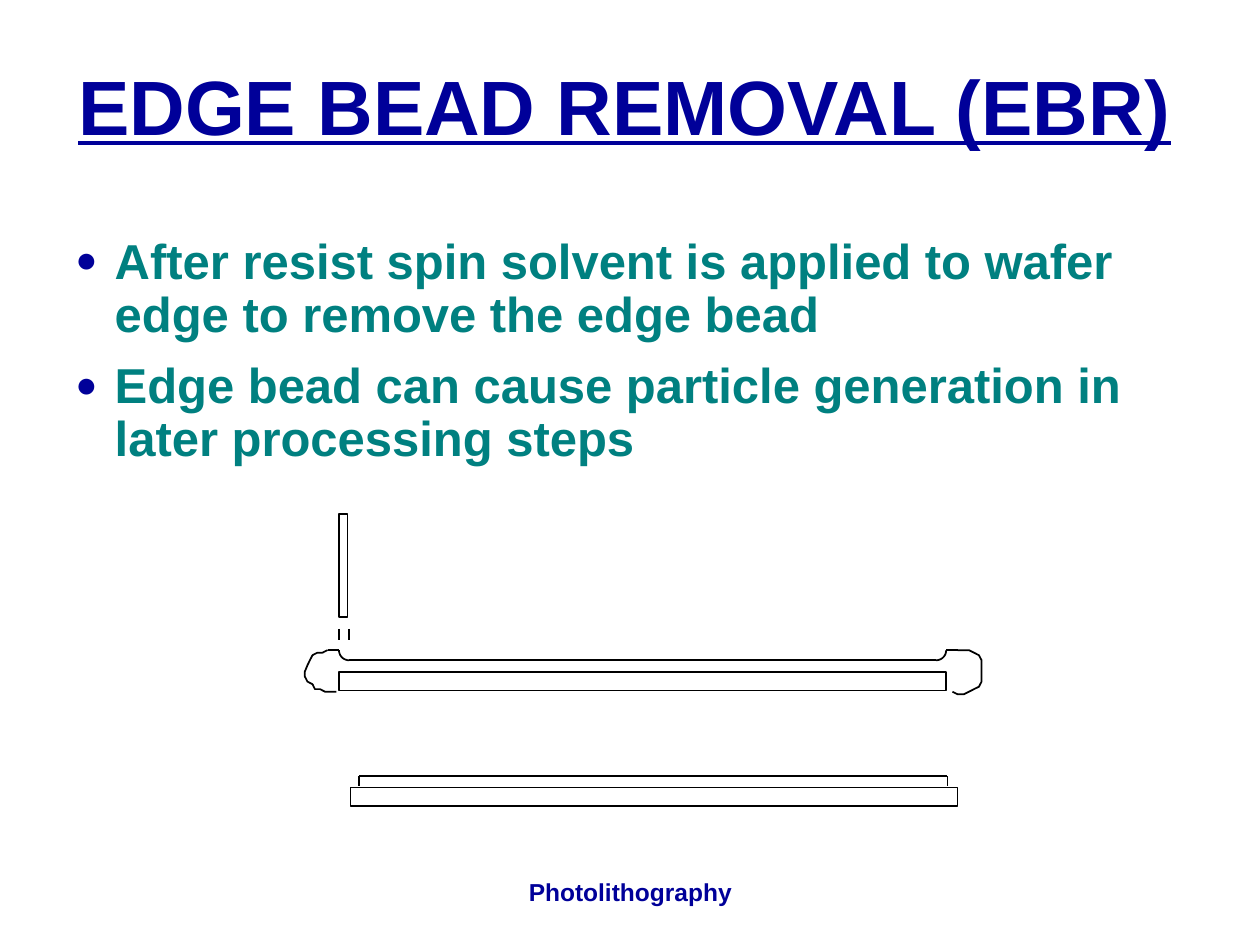
"""Build the edge bead removal slide with its wafer cross-sections."""
from math import cos, radians, sin

from lxml import etree
from pptx import Presentation
from pptx.dml.color import RGBColor
from pptx.enum.shapes import MSO_CONNECTOR, MSO_SHAPE
from pptx.enum.text import MSO_ANCHOR, MSO_AUTO_SIZE, PP_ALIGN
from pptx.oxml.ns import qn
from pptx.util import Pt

STRAIGHT, RECTANGLE = MSO_CONNECTOR.STRAIGHT, MSO_SHAPE.RECTANGLE
TOP, MIDDLE = MSO_ANCHOR.TOP, MSO_ANCHOR.MIDDLE
LEFT, CENTER = PP_ALIGN.LEFT, PP_ALIGN.CENTER
NO_AUTOFIT = MSO_AUTO_SIZE.NONE

THEME = {
    "font": "Arial", "navy": "000099", "teal": "008080", "ink": "000000", "paper": "FFFFFF",
    "title": 44, "body": 28, "footer": 14, "line": 1,
}

TITLE = "EDGE BEAD REMOVAL (EBR)"
POINTS = [
    "After resist spin solvent is applied to wafer edge to remove the edge bead",
    "Edge bead can cause particle generation in later processing steps",
]
FOOTER = "Photolithography"

TITLE_BOX = (36, 18, 642.2, 90)
BODY_BOX = (36, 131.8, 648, 324)
FOOTER_BOX = (246.2, 491.8, 228.2, 36)

WAFER_SIZE = (347, 10.8)
COATED_WAFER = (193.7, 383.8)
CLEANED_WAFER = (200.2, 450)
NOZZLE = (193.7, 293.8, 5, 59)
SPRAY_TOP, SPRAY_BOTTOM = 359.3, 365.8
RIM_TOP, FILM_TOP = 371.5, 377.3
RIM_WIDTH = 6.5
CLEANED_FILM = (205.2, 541.4, 443.5, 449.3)
FILLET = FILM_TOP - RIM_TOP

LEFT_BEAD = [
    (187.2, 371.5), (184.3, 373), (181.4, 373), (178.6, 374.4), (177.1, 377.3),
    (175.7, 380.2), (174.2, 383.8), (174.2, 386.6), (175.7, 389.5), (178.6, 391),
    (180, 393.8), (182.9, 393.8), (185.8, 395.3), (189.4, 395.3), (192.2, 395.3),
]
RIGHT_BEAD = [
    (547.2, 371.5), (550.8, 371.5), (553.7, 371.5), (556.6, 373), (559.4, 374.4),
    (560.9, 377.3), (560.9, 380.2), (560.9, 383.8), (560.9, 386.6), (560.9, 389.5),
    (559.4, 392.4), (556.6, 393.8), (553.7, 395.3), (550.8, 396.7), (547.2, 396.7),
    (544.3, 395.3),
]


def color(name):
    return RGBColor.from_string(THEME[name])


def set_frame(frame, anchor, wrap=True):
    frame.auto_size = NO_AUTOFIT
    frame.word_wrap = wrap
    frame.vertical_anchor = anchor
    frame.margin_left = frame.margin_right = Pt(7.2)
    frame.margin_top = frame.margin_bottom = Pt(3.6)


def write(paragraph, text, size, tint, align, spacing=1.0, underline=False):
    paragraph.alignment = align
    paragraph.line_spacing = spacing
    run = paragraph.add_run()
    run.text = text
    font = run.font
    font.name, font.size, font.bold = THEME["font"], Pt(THEME[size]), True
    font.underline = underline
    font.color.rgb = color(tint)


def add_bullet(paragraph):
    properties = paragraph._p.get_or_add_pPr()
    properties.set("marL", str(Pt(22.5)))
    properties.set("indent", str(-Pt(22.5)))
    tint = etree.SubElement(properties, qn("a:buClr"))
    etree.SubElement(tint, qn("a:srgbClr"), val=THEME["navy"])
    etree.SubElement(properties, qn("a:buSzPct"), val="75000")
    etree.SubElement(properties, qn("a:buFont"), typeface=THEME["font"])
    etree.SubElement(properties, qn("a:buChar"), char="●")


def ink(shape):
    shape.line.color.rgb = color("ink")
    shape.line.width = Pt(THEME["line"])


def add_block(shapes, x, y, width, height):
    block = shapes.add_shape(RECTANGLE, Pt(x), Pt(y), Pt(width), Pt(height))
    block.shadow.inherit = False
    block.fill.solid()
    block.fill.fore_color.rgb = color("paper")
    ink(block)


def add_line(shapes, x1, y1, x2, y2):
    line = shapes.add_connector(STRAIGHT, Pt(x1), Pt(y1), Pt(x2), Pt(y2))
    etree.SubElement(line._element.spPr, qn("a:effectLst"))
    ink(line)


def add_outline(shapes, points):
    start, *rest = [(Pt(x), Pt(y)) for x, y in points]
    builder = shapes.build_freeform(*start)
    builder.add_line_segments(rest, close=False)
    outline = builder.convert_to_shape()
    outline.shadow.inherit = False
    outline.fill.background()
    ink(outline)


def fillet_points(center_x, first_angle):
    angles = [radians(first_angle + step) for step in range(0, 91, 10)]
    return [(center_x + FILLET * cos(a), RIM_TOP + FILLET * sin(a)) for a in angles]


def add_texts(slide):
    title = slide.shapes.title
    title.left, title.top, title.width, title.height = map(Pt, TITLE_BOX)
    set_frame(title.text_frame, MIDDLE)
    write(title.text_frame.paragraphs[0], TITLE, "title", "navy", CENTER, 0.9, True)

    body = slide.shapes.add_textbox(*map(Pt, BODY_BOX)).text_frame
    set_frame(body, TOP)
    for index, point in enumerate(POINTS):
        paragraph = body.add_paragraph() if index else body.paragraphs[0]
        add_bullet(paragraph)
        paragraph.space_before = Pt(10.5 if index else 0)
        write(paragraph, point, "body", "teal", LEFT, 0.9)

    footer = slide.shapes.add_textbox(*map(Pt, FOOTER_BOX)).text_frame
    set_frame(footer, MIDDLE, wrap=False)
    write(footer.paragraphs[0], FOOTER, "footer", "navy", CENTER)


def add_coated_wafer(shapes):
    wafer_left = COATED_WAFER[0]
    wafer_right = wafer_left + WAFER_SIZE[0]
    film_left, film_right = wafer_left + FILLET, wafer_right - FILLET
    add_block(shapes, *COATED_WAFER, *WAFER_SIZE)
    add_line(shapes, film_left, FILM_TOP, film_right, FILM_TOP)
    for center_x, angle in ((film_left, 90), (film_right, 0)):
        add_outline(shapes, fillet_points(center_x, angle))
    for edge, outer in ((wafer_left, -RIM_WIDTH), (wafer_right, RIM_WIDTH)):
        add_line(shapes, edge + outer, RIM_TOP, edge, RIM_TOP)
    add_block(shapes, *NOZZLE)
    for x in (wafer_left, film_left):
        add_line(shapes, x, SPRAY_TOP, x, SPRAY_BOTTOM)
    for bead in (LEFT_BEAD, RIGHT_BEAD):
        add_outline(shapes, bead)


def add_cleaned_wafer(shapes):
    left, right, top, bottom = CLEANED_FILM
    add_block(shapes, *CLEANED_WAFER, *WAFER_SIZE)
    add_line(shapes, left, top, right, top)
    for x in (left, right):
        add_line(shapes, x, top, x, bottom)


def main():
    deck = Presentation()
    deck.slide_width, deck.slide_height = Pt(720), Pt(540)
    slide = deck.slides.add_slide(deck.slide_layouts[5])
    add_texts(slide)
    add_coated_wafer(slide.shapes)
    add_cleaned_wafer(slide.shapes)
    deck.save("out.pptx")


if __name__ == "__main__":
    main()
